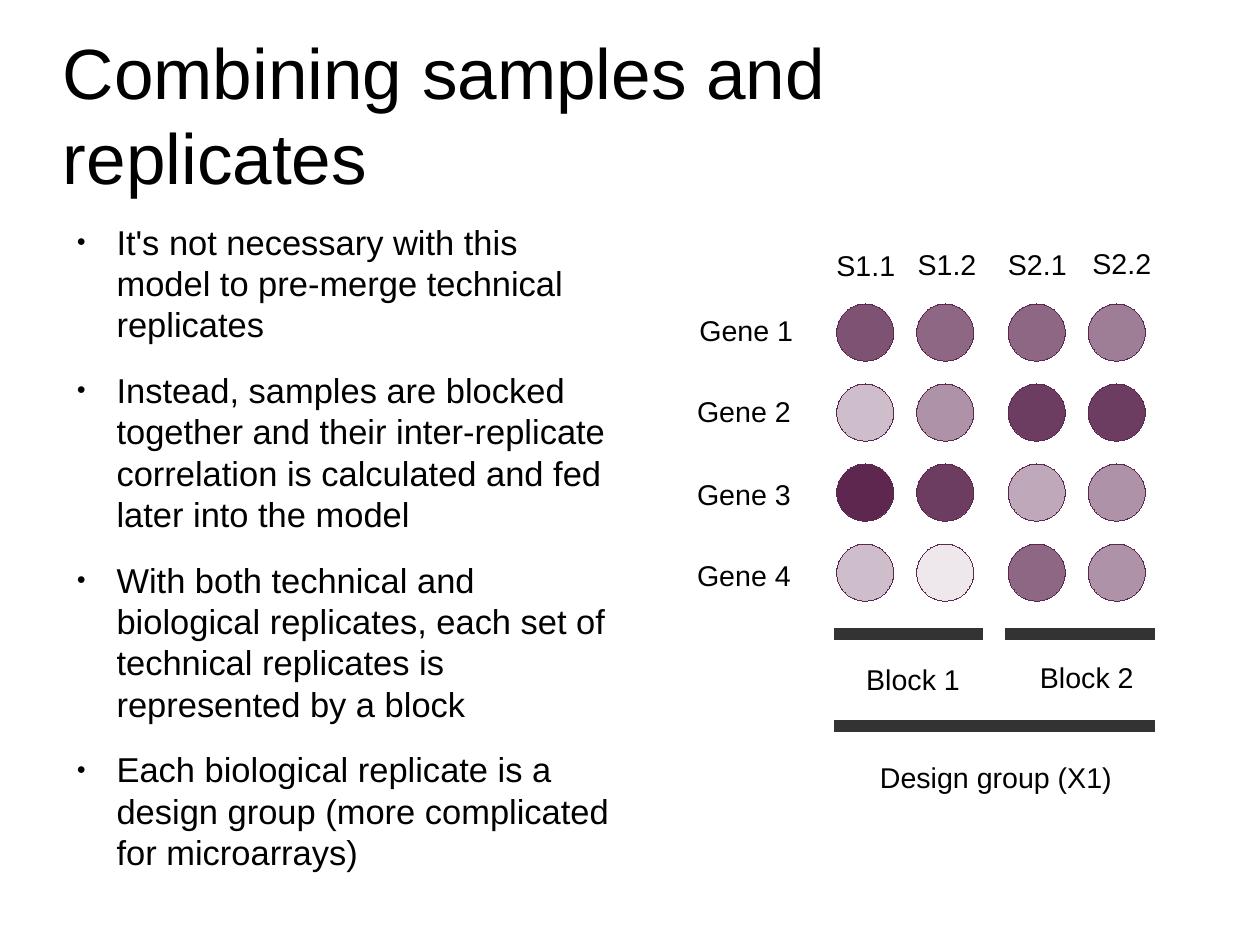
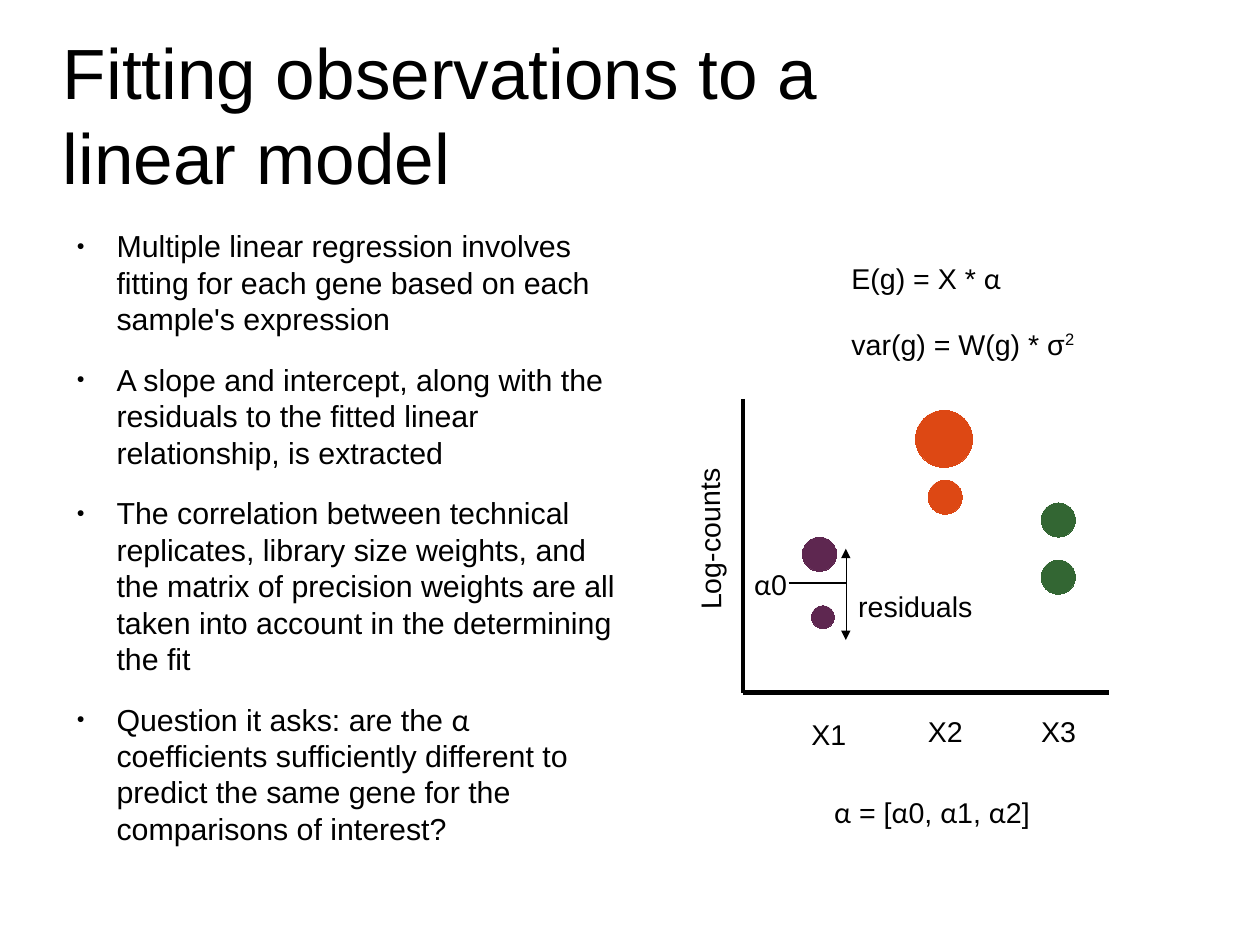
from itertools import groupby

from lxml import etree
from pptx import Presentation
from pptx import util as u
from pptx.dml.color import RGBColor
from pptx.enum import shapes, text
from pptx.oxml.ns import qn

PX = 9144
THEME = {
    "font": "Arial", "greek_font": "Lato",
    "black": "000000", "bar": "333333",
    "plum": "5E2750", "green": "336633", "orange": "DD4814",
    "title_size": 44.8, "label_size": 18,
}
SLIDE_SIZE = (u.Cm(28), u.Cm(21))
TITLE_BOX = (55, 30, 768, 139)
BULLET_GAP = u.Pt(15.3)
BULLET_INDENT = {"marL": 47 * PX, "indent": -35 * PX}
BULLET_PARTS = (
    ("a:buSzPct", {"val": "45000"}),
    ("a:buFont", {"typeface": THEME["font"]}),
    ("a:buChar", {"char": "●"}),
)

REPLICATES = {
    "title": "Combining samples and replicates",
    "body_top": 193, "body_size": 21.7,
    "bullets": [
        "It's not necessary with this model to pre-merge technical replicates",
        "Instead, samples are blocked together and their inter-replicate correlation is "
        "calculated and fed later into the model",
        "With both technical and biological replicates, each set of technical replicates "
        "is represented by a block",
        "Each biological replicate is a design group (more complicated for microarrays)",
    ],
}
SAMPLES = [("S1.1", 732, 722, 212), ("S1.2", 802, 793, 211),
           ("S2.1", 882, 872, 211), ("S2.2", 952, 946, 210)]
EXPRESSION = [
    ("Gene 1", 602, 269, (80, 70, 70, 60)),
    ("Gene 2", 600, 340, (30, 50, 90, 90)),
    ("Gene 3", 600, 412, (100, 90, 40, 50)),
    ("Gene 4", 600, 483, (30, 10, 70, 50)),
]
GROUP_BARS = [(730, 550, 130), (880, 550, 130), (730, 630, 280)]
GROUP_LABELS = [("Block 1", 748, 574, 102), ("Block 2", 900, 572, 102),
                ("Design group (X1)", 760, 660, 229)]

LINEAR_MODEL = {
    "title": "Fitting observations to a linear model",
    "body_top": 199, "body_size": 19.1,
    "bullets": [
        "Multiple linear regression involves fitting for each gene based on each "
        "sample's expression",
        "A slope and intercept, along with the residuals to the fitted linear "
        "relationship, is extracted",
        "The correlation between technical replicates, library size weights, and the "
        "matrix of precision weights are all taken into account in the determining the fit",
        "Question it asks: are the α coefficients sufficiently different to predict the "
        "same gene for the comparisons of interest?",
    ],
}
OBSERVATIONS = [
    ("plum", 710, 530, 20), ("green", 911, 440, 30), ("orange", 801, 359, 50),
    ("plum", 702, 470, 30), ("orange", 812, 420, 30), ("green", 911, 490, 30),
]
ORIGIN = (650, 606)
INTERCEPT = (740, 510)
PLOT_LINES = [
    ((650, 349), ORIGIN, 3, False),
    (ORIGIN, (970, 606), 3, False),
    ((690, 510), INTERCEPT, 1.5, False),
    (INTERCEPT, (740, 480), 0, True),
    (INTERCEPT, (740, 560), 0, True),
]
PLOT_LABELS = [
    ("X1", 700, 622, 52), ("X2", 802, 620, 52), ("X3", 901, 620, 52),
    ("α = [α0, α1, α2]", 720, 691, 193, 44),
    ("E(g) = X * α", 735, 223, 151, 44),
    ("α0", 650, 491, 50, 44),
    ("residuals", 741, 510, 120),
    ("Log-counts", 547, 452, 145, 38, 269.4),
]


def color(name):
    return RGBColor.from_string(THEME[name])


def scaled(*lengths):
    return [length * PX for length in lengths]


def add_run(paragraph, content, size, font="font"):
    run = paragraph.add_run()
    run.text = content
    values = {"name": THEME[font], "size": u.Pt(size)}
    for name, value in values.items():
        setattr(run.font, name, value)
    run.font.color.rgb = color("black")
    return run


def add_text(paragraph, content, size):
    for greek, letters in groupby(content, lambda letter: letter == "α"):
        add_run(paragraph, "".join(letters), size, "greek_font" if greek else "font")


def add_box(slide, box, **values):
    frame = slide.shapes.add_textbox(*scaled(*box)).text_frame
    for name, value in values.items():
        setattr(frame, name, value)
    return frame


def add_label(slide, content, left, top, width, height=38, rotation=0):
    frame = add_box(slide, (left, top, width, height), word_wrap=False,
                    auto_size=text.MSO_AUTO_SIZE.SHAPE_TO_FIT_TEXT)
    add_text(frame.paragraphs[0], content, THEME["label_size"])
    slide.shapes[-1].rotation = rotation
    return frame.paragraphs[0]


def add_bullet(paragraph, content, size):
    paragraph.space_after = BULLET_GAP
    properties = paragraph._p.get_or_add_pPr()
    for name, value in BULLET_INDENT.items():
        properties.set(name, str(value))
    for tag, attributes in BULLET_PARTS:
        etree.SubElement(properties, qn(tag), attributes)
    add_text(paragraph, content, size)


def add_text_slide(presentation, content):
    slide = presentation.slides.add_slide(presentation.slide_layouts[6])
    margins = dict.fromkeys(
        ("margin_left", "margin_top", "margin_right", "margin_bottom"), 0)
    title = add_box(slide, TITLE_BOX, word_wrap=True,
                    vertical_anchor=text.MSO_ANCHOR.MIDDLE, **margins)
    add_text(title.paragraphs[0], content["title"], THEME["title_size"])
    body = add_box(slide, (55, content["body_top"], 484, 479), word_wrap=True, **margins)
    for index, bullet in enumerate(content["bullets"]):
        paragraph = body.add_paragraph() if index else body.paragraphs[0]
        add_bullet(paragraph, bullet, content["body_size"])
    return slide


def set_line(line, name, width):
    line.color.rgb = color(name)
    outline = line._get_or_add_ln()
    outline.set("w", str(u.Pt(width)))
    return outline


def add_solid(slide, kind, box, fill, opacity=100):
    shape = slide.shapes.add_shape(kind, *scaled(*box))
    shape.shadow.inherit = False
    shape.fill.solid()
    shape.fill.fore_color.rgb = color(fill)
    set_line(shape.line, fill, 0)
    if opacity < 100:
        solid = shape._element.spPr.find(qn("a:solidFill"))
        etree.SubElement(solid[0], qn("a:alpha"), val=str(opacity * 1000))


def add_line(slide, start, end, width, arrow):
    line = slide.shapes.add_connector(shapes.MSO_CONNECTOR.STRAIGHT, *scaled(*start, *end))
    outline = set_line(line.line, "black", width)
    if arrow:
        etree.SubElement(outline, qn("a:tailEnd"), type="triangle")
    etree.SubElement(line._element.spPr, qn("a:effectLst"))


def build_replicates(presentation):
    slide = add_text_slide(presentation, REPLICATES)
    for row, (gene, gene_left, gene_top, opacities) in enumerate(EXPRESSION):
        for (_, left, _, _), opacity in zip(SAMPLES, opacities):
            add_solid(slide, shapes.MSO_SHAPE.OVAL, (left, 266 + 70 * row, 50, 50),
                      "plum", opacity)
        add_label(slide, gene, gene_left, gene_top, 102)
    for sample, _, left, top in SAMPLES:
        add_label(slide, sample, left, top, 73)
    for left, top, width in GROUP_BARS:
        add_solid(slide, shapes.MSO_SHAPE.RECTANGLE, (left, top, width, 10), "bar")
    for label in GROUP_LABELS:
        add_label(slide, *label)


def build_linear_model(presentation):
    slide = add_text_slide(presentation, LINEAR_MODEL)
    for line in PLOT_LINES:
        add_line(slide, *line)
    for fill, left, top, size in OBSERVATIONS:
        add_solid(slide, shapes.MSO_SHAPE.OVAL, (left, top, size, size), fill)
    for label in PLOT_LABELS:
        add_label(slide, *label)
    variance = add_label(slide, "var(g) = W(g) * σ", 735, 281, 215, 39)
    exponent = add_run(variance, "2", THEME["label_size"])
    exponent._r.get_or_add_rPr().set("baseline", "33000")


def main():
    presentation = Presentation()
    presentation.slide_width, presentation.slide_height = SLIDE_SIZE
    build_replicates(presentation)
    build_linear_model(presentation)
    presentation.save("out.pptx")


if __name__ == "__main__":
    main()
